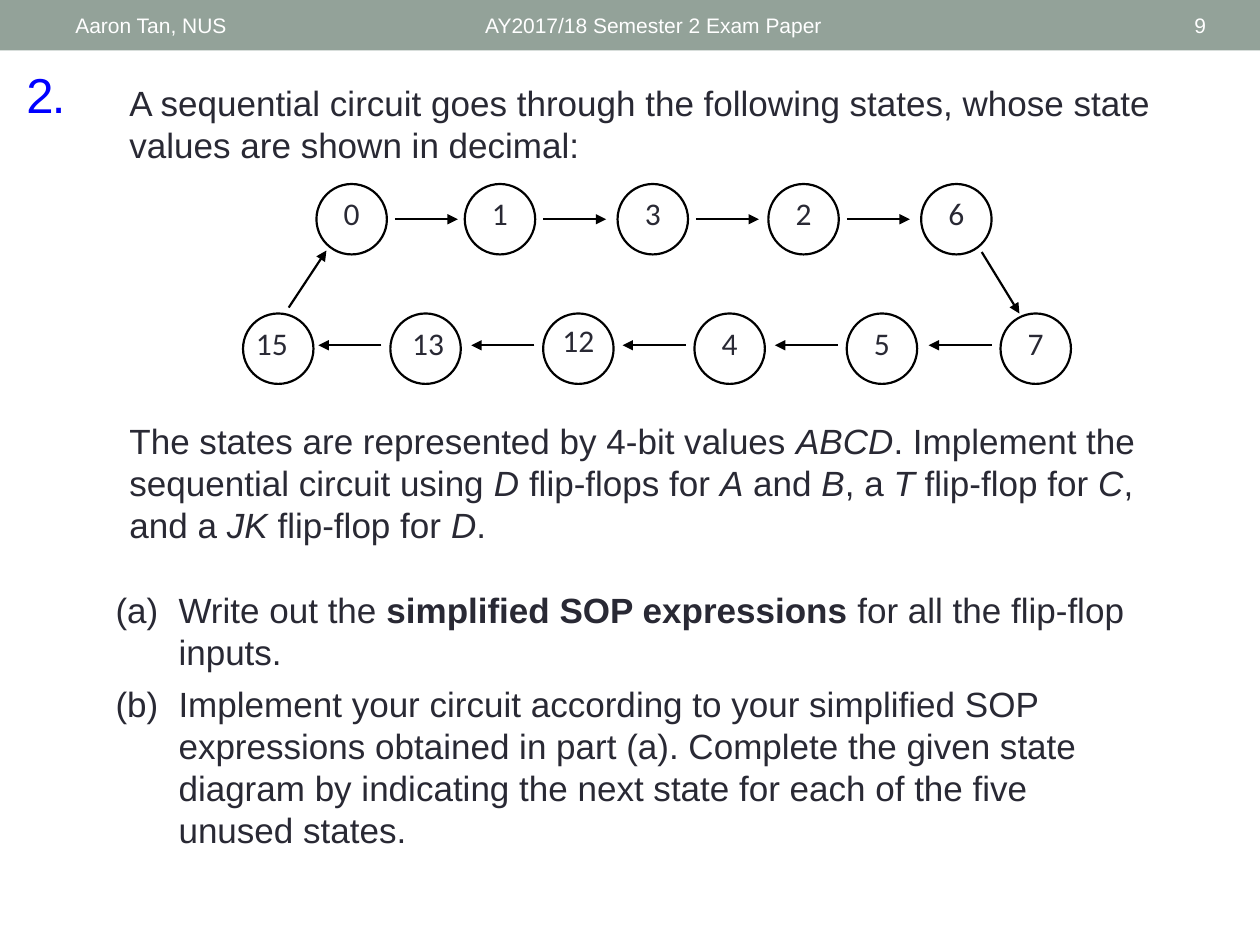
"""Build the exam slide with the state sequence of a sequential circuit."""
from dataclasses import dataclass
from itertools import cycle

from pptx import Presentation
from pptx import util as u
from pptx.dml.color import RGBColor
from pptx.enum import shapes, text
from pptx.oxml.ns import qn
from lxml import etree

Cm, Pt = u.Cm, u.Pt
COLORS = {"band": "93A299", "number": "0000FF", "text": "292934",
          "white": "FFFFFF", "black": "000000"}
DIAMETER = 1.42
ARROW = 1.27
TOP_Y, BOTTOM_Y = 3.71, 6.32
LEFT, CENTER, RIGHT = text.PP_ALIGN.LEFT, text.PP_ALIGN.CENTER, text.PP_ALIGN.RIGHT


@dataclass
class State:
    value: str
    x: float
    y: float
    label_width: float = 1.32
    dx: float = 0
    dy: float = 0


@dataclass
class Header:
    text: str
    x: float
    width: float
    align: text.PP_ALIGN = LEFT


@dataclass
class Arrow:
    x1: float
    y1: float
    x2: float
    y2: float


HEADERS = [
    Header("AY2017/18 Semester 2 Exam Paper", 9.53, 11.43),
    Header("Aaron Tan, NUS", 1.27, 8.05),
    Header("9", 22.15, 2.41, RIGHT),
]
TOP_STATES = [State(value, x, TOP_Y) for value, x in
              zip("01326", (6.38, 9.37, 12.45, 15.49, 18.57))]
BOTTOM_STATES = [
    State("15", 4.9, BOTTOM_Y, 1.57, dx=-0.13),
    State("13", 7.87, BOTTOM_Y, 1.73, dx=0.05),
    State("12", 10.95, BOTTOM_Y, 1.83, dy=-0.05),
    State("4", 14, BOTTOM_Y, 1.6),
    State("5", 17.07, BOTTOM_Y, 1.65),
    State("7", 20.17, BOTTOM_Y),
]
INTRO = ["A sequential circuit goes through the following states, "
         "whose state values are shown in decimal:"]
TASK = ["The states are represented by 4-bit values ", "ABCD",
        ". Implement the sequential circuit using ", "D", " flip-flops for ", "A",
        " and ", "B", ", a ", "T", " flip-flop for ", "C", ", and a ", "JK",
        " flip-flop for ", "D", "."]
PARTS = [
    ["Write out the ", "simplified SOP expressions ", "for all the flip-flop inputs."],
    ["Implement your circuit according to your simplified SOP expressions obtained "
     "in part (a). Complete the given state diagram by indicating the next state "
     "for each of the five unused states."],
]


def rgb(name: str) -> RGBColor:
    return RGBColor.from_string(COLORS[name])


def format_run(r, size: float, color: str = "text", font: str = "Arial") -> None:
    r.font.size = Pt(size)
    r.font.name = font
    r.font.color.rgb = rgb(color)


def add_runs(p, pieces: list[str], emphasis: str = "italic") -> None:
    for piece, emphasised in zip(pieces, cycle((False, True))):
        r = p.add_run()
        r.text = piece
        format_run(r, 20)
        if emphasised:
            setattr(r.font, emphasis, True)


def add_box(s, x: float, y: float, width: float, height: float, grow: bool = True):
    tf = s.shapes.add_textbox(Cm(x), Cm(y), Cm(width), Cm(height)).text_frame
    tf.word_wrap = True
    if grow:
        tf.auto_size = text.MSO_AUTO_SIZE.SHAPE_TO_FIT_TEXT
    return tf


def add_header(s, header: Header) -> None:
    tf = add_box(s, header.x, 0.05, header.width, 0.91, grow=False)
    tf.vertical_anchor = text.MSO_ANCHOR.MIDDLE
    tf.text = header.text
    p = tf.paragraphs[0]
    p.alignment = header.align
    format_run(p.runs[0], 12, "white")


def add_state(s, state: State) -> None:
    sp = s.shapes.add_shape(shapes.MSO_SHAPE.OVAL, Cm(state.x), Cm(state.y),
                            Cm(DIAMETER), Cm(DIAMETER))
    sp.shadow.inherit = False
    sp.fill.solid()
    sp.fill.fore_color.rgb = rgb("white")
    sp.line.color.rgb = rgb("black")
    sp.line.width = Pt(1.25)
    label_x = state.x + (DIAMETER - state.label_width) / 2 + state.dx
    tf = add_box(s, label_x, state.y + 0.08 + state.dy, state.label_width, 1.02)
    tf.text = state.value
    p = tf.paragraphs[0]
    p.alignment = CENTER
    format_run(p.runs[0], 18, font="Calibri")


def add_arrow(s, arrow: Arrow) -> None:
    line = s.shapes.add_connector(shapes.MSO_CONNECTOR.STRAIGHT, Cm(arrow.x1),
                                  Cm(arrow.y1), Cm(arrow.x2), Cm(arrow.y2))
    line.line.color.rgb = rgb("black")
    line.line.width = Pt(1.25)
    etree.SubElement(line.line._get_or_add_ln(), qn("a:tailEnd"), type="triangle")
    etree.SubElement(line._element.spPr, qn("a:effectLst"))


def add_title(s) -> None:
    sp = s.shapes.title
    sp.left, sp.top, sp.width, sp.height = Cm(0.28), Cm(0.94), Cm(2.41), Cm(1.91)
    tf = sp.text_frame
    tf.text = "2."
    tf.auto_size = text.MSO_AUTO_SIZE.NONE
    tf.vertical_anchor = text.MSO_ANCHOR.MIDDLE
    p = tf.paragraphs[0]
    p.alignment = LEFT
    r = p.runs[0]
    format_run(r, 28, "number")
    r.font._element.set("spc", "-100")


def add_parts(s) -> None:
    tf = add_box(s, 2.08, 11.73, 21.29, 5.59)
    for i, pieces in enumerate(PARTS):
        p = tf.add_paragraph() if i else tf.paragraphs[0]
        p.space_after = Pt(6)
        pPr = p._p.get_or_add_pPr()
        pPr.set("marL", str(Cm(1.27)))
        pPr.set("indent", str(-Cm(1.27)))
        etree.SubElement(pPr, qn("a:buFont"), typeface="+mj-lt")
        etree.SubElement(pPr, qn("a:buAutoNum"), type="alphaLcParenBoth")
        add_runs(p, pieces, "bold")


def main() -> None:
    prs = Presentation()
    prs.slide_width, prs.slide_height = Cm(25.4), Cm(19.05)
    s = prs.slides.add_slide(prs.slide_layouts[5])
    band = s.shapes.add_shape(shapes.MSO_SHAPE.RECTANGLE, 0, 0, prs.slide_width, Cm(1.02))
    band.shadow.inherit = False
    band.fill.solid()
    band.fill.fore_color.rgb = rgb("band")
    band.line.fill.background()
    add_title(s)
    for header in HEADERS:
        add_header(s, header)
    add_runs(add_box(s, 2.36, 1.52, 21.29, 1.96).paragraphs[0], INTRO)

    for state in TOP_STATES + BOTTOM_STATES:
        add_state(s, state)
    top_y, bottom_y = TOP_Y + DIAMETER / 2, BOTTOM_Y + 0.64
    arrows = [Arrow(st.x + 1.58, top_y, st.x + 1.58 + ARROW, top_y)
              for st in TOP_STATES[:-1]]
    arrows += [Arrow(st.x - 0.18, bottom_y, st.x - 0.18 - ARROW, bottom_y)
               for st in BOTTOM_STATES[1:]]
    arrows += [Arrow(19.79, 5.08, 20.55, 6.32), Arrow(5.82, 6.2, 6.58, 5.05)]
    for arrow in arrows:
        add_arrow(s, arrow)

    add_runs(add_box(s, 2.36, 8.33, 21.29, 2.82).paragraphs[0], TASK)
    add_parts(s)
    prs.save("out.pptx")


main()
